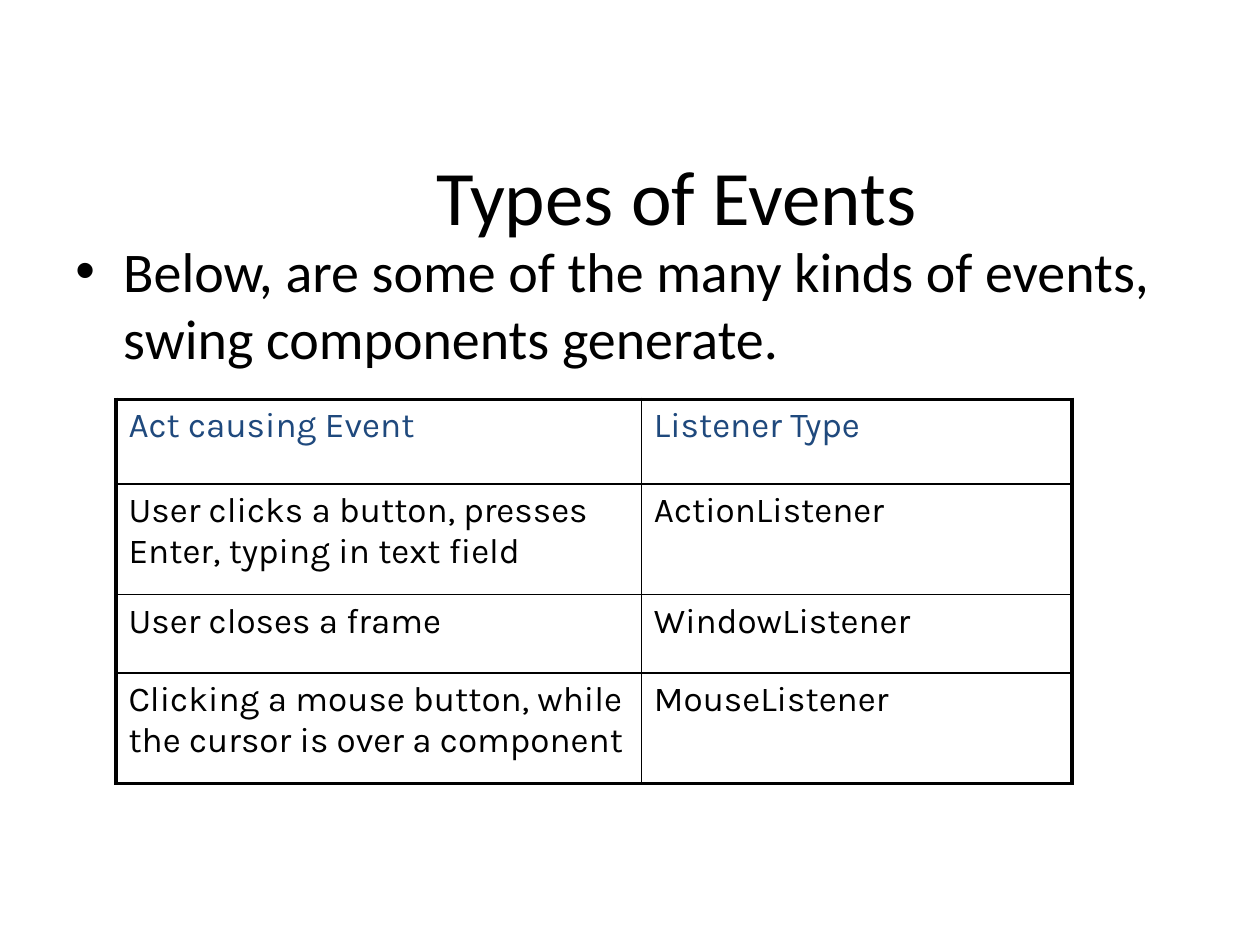
from typing import NamedTuple

from lxml import etree
from pptx import Presentation
from pptx.dml.color import RGBColor
from pptx.enum.text import MSO_ANCHOR, PP_ALIGN
from pptx.oxml.ns import qn
from pptx.util import Inches, Pt

BLACK = RGBColor(0, 0, 0)
NAVY = RGBColor(0x1F, 0x49, 0x7D)
MIDDLE, TOP = MSO_ANCHOR.MIDDLE, MSO_ANCHOR.TOP
CENTER, LEFT = PP_ALIGN.CENTER, PP_ALIGN.LEFT
THIN, THICK = Pt(1), Pt(2.25)


class Row(NamedTuple):
    act: str
    listener: str
    height: float
    color: RGBColor = BLACK


ROWS = [
    Row("Act causing Event", "Listener Type", 0.67, NAVY),
    Row("User clicks a button, presses Enter, typing in text field",
        "ActionListener", 0.88),
    Row("User closes a frame", "WindowListener", 0.62),
    Row("Clicking a mouse button, while the cursor is over a component",
        "MouseListener", 0.88),
]
WIDTHS = [4.17, 3.42]


def style(par, size: float, font: str, color: RGBColor) -> None:
    for run in par.runs:
        run.font.size = Pt(size)
        run.font.name = font
        run.font.color.rgb = color


def add_text(slide, box: tuple, text: str, size: float, anchor, align):
    frame = slide.shapes.add_textbox(*map(Inches, box)).text_frame
    frame.word_wrap = True
    frame.vertical_anchor = anchor
    frame.text = text
    par = frame.paragraphs[0]
    par.alignment = align
    style(par, size, "Calibri", BLACK)
    return par


def add_bullet(par, indent: float) -> None:
    props = par._p.get_or_add_pPr()
    props.set("marL", str(Inches(indent)))
    props.set("indent", str(-Inches(indent)))
    etree.SubElement(props, qn("a:buFont")).set("typeface", "Arial")
    etree.SubElement(props, qn("a:buChar")).set("char", "•")


def set_edges(cell, thick: dict[str, bool]) -> None:
    """Draw the four borders, which must precede the fill in the XML."""
    props = cell._tc.get_or_add_tcPr()
    for spot, (side, heavy) in enumerate(thick.items()):
        line = etree.Element(qn(f"a:ln{side}"), w=str(THICK if heavy else THIN))
        fill = etree.SubElement(line, qn("a:solidFill"))
        etree.SubElement(fill, qn("a:srgbClr")).set("val", str(BLACK))
        props.insert(spot, line)


def add_grid(slide, left: float, top: float) -> None:
    high = sum(row.height for row in ROWS)
    table = slide.shapes.add_table(
        len(ROWS), len(WIDTHS), Inches(left), Inches(top),
        Inches(sum(WIDTHS)), Inches(high)).table
    table.first_row = table.horz_banding = False
    for col, width in zip(table.columns, WIDTHS):
        col.width = Inches(width)
    for r, row in enumerate(ROWS):
        table.rows[r].height = Inches(row.height)
        for c, text in enumerate((row.act, row.listener)):
            cell = table.cell(r, c)
            cell.text_frame.text = text
            style(cell.text_frame.paragraphs[0], 20, "Karla", row.color)
            cell.fill.background()
            set_edges(cell, {"L": c == 0, "R": c == len(WIDTHS) - 1,
                             "T": r == 0, "B": r == len(ROWS) - 1})


def main() -> None:
    deck = Presentation()
    deck.slide_width, deck.slide_height = Inches(10), Inches(7.5)
    slide = deck.slides.add_slide(deck.slide_layouts[6])
    add_text(slide, (1.12, 1, 8.5, 1.09), "Types of Events", 44, MIDDLE, CENTER)
    body = add_text(
        slide, (0.5, 1.83, 8.83, 4.5),
        "Below, are some of the many kinds of events, swing components generate.",
        32, TOP, LEFT)
    add_bullet(body, 0.38)
    add_grid(slide, 0.92, 3.17)
    deck.save("out.pptx")


if __name__ == "__main__":
    main()
